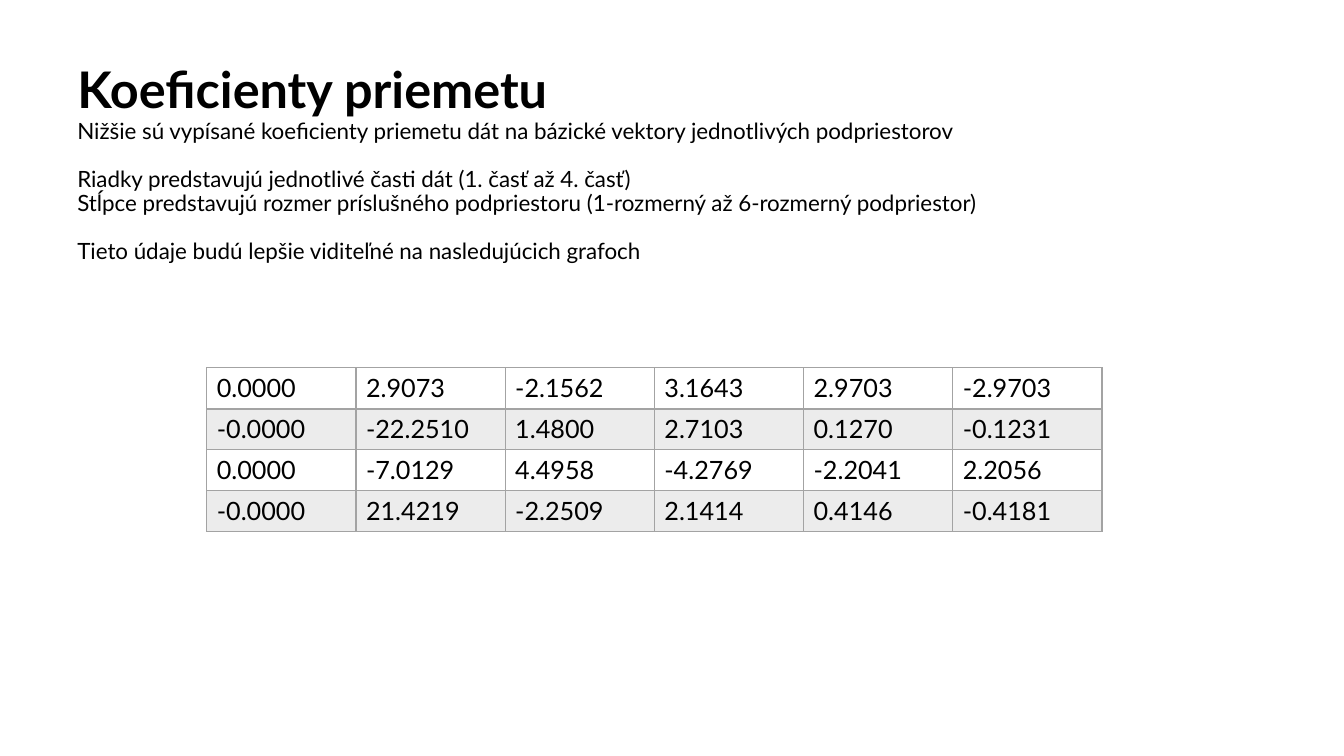
from dataclasses import dataclass

from lxml.etree import SubElement
from pptx import Presentation
from pptx.dml.color import RGBColor
from pptx.enum.text import MSO_ANCHOR
from pptx.oxml import parse_xml
from pptx.oxml.ns import nsdecls, qn
from pptx.slide import Slide
from pptx.table import _Cell
from pptx.util import Cm, Pt


@dataclass(frozen=True)
class Theme:
    font: str = "Lato"
    ink: str = "000000"
    grey: str = "A3A3A3"
    band: int = 20
    head: int = 36
    body: int = 16
    data: int = 18


@dataclass(frozen=True)
class Line:
    text: str
    size: int
    bold: bool = False
    gap: float = 0


THEME = Theme()
GAP = 17.3  # one body line, in points

LINES = [
    Line("Koeficienty priemetu", THEME.head, bold=True),
    Line("Nižšie sú vypísané koeficienty priemetu dát na bázické vektory "
         "jednotlivých podpriestorov", THEME.body),
    Line("Riadky predstavujú jednotlivé časti dát (1. časť až 4. časť)",
         THEME.body, gap=GAP),
    Line("Stĺpce predstavujú rozmer príslušného podpriestoru "
         "(1-rozmerný až 6-rozmerný podpriestor)", THEME.body),
    Line("Tieto údaje budú lepšie viditeľné na nasledujúcich grafoch",
         THEME.body, gap=GAP),
]

ROWS = [
    ["0.0000", "2.9073", "-2.1562", "3.1643", "2.9703", "-2.9703"],
    ["-0.0000", "-22.2510", "1.4800", "2.7103", "0.1270", "-0.1231"],
    ["0.0000", "-7.0129", "4.4958", "-4.2769", "-2.2041", "2.2056"],
    ["-0.0000", "21.4219", "-2.2509", "2.1414", "0.4146", "-0.4181"],
]


def style(para, size: int, bold: bool = False) -> None:
    font = para.runs[0].font
    form = {"name": THEME.font, "size": Pt(size), "bold": bold}
    for key, value in form.items():
        setattr(font, key, value)
    font.color.rgb = RGBColor.from_string(THEME.ink)


def add_text(slide: Slide, lines: list[Line]) -> None:
    box = slide.shapes.add_textbox(Cm(1.7), Cm(1.52), Cm(29.6), Cm(3.15))
    frame = box.text_frame
    for key, value in {"word_wrap": True,
                       "vertical_anchor": MSO_ANCHOR.TOP}.items():
        setattr(frame, key, value)
    for i, line in enumerate(lines):
        para = frame.add_paragraph() if i else frame.paragraphs[0]
        para.add_run().text = line.text
        form = {"line_spacing": 0.9, "space_before": Pt(line.gap)}
        for key, value in form.items():
            setattr(para, key, value)
        style(para, line.size, line.bold)


def set_fill(cell: _Cell, band: bool) -> None:
    if not band:
        cell.fill.background()
        return
    cell.fill.solid()
    cell.fill.fore_color.rgb = RGBColor.from_string(THEME.grey)
    tint = cell._tc.tcPr.find(".//" + qn("a:srgbClr"))
    SubElement(tint, qn("a:alpha"), val=str(THEME.band * 1000))


def set_edges(cell: _Cell, base: int) -> None:
    props = cell._tc.get_or_add_tcPr()
    widths = {"L": 1, "R": 1, "T": 1, "B": base}
    # Edges must stand before the fill
    for i, (side, width) in enumerate(widths.items()):
        props.insert(i, parse_xml(
            f'<a:ln{side} {nsdecls("a")} w="{Pt(width)}"><a:solidFill>'
            f'<a:srgbClr val="{THEME.grey}"/></a:solidFill></a:ln{side}>'))


def add_grid(slide: Slide, rows: list[list[str]]) -> None:
    wide, high = Cm(3.76), Cm(1.03)
    count = len(rows[0])
    table = slide.shapes.add_table(len(rows), count, Cm(5.21), Cm(9.27),
                                   wide * count, high * len(rows)).table
    for key in ("first_row", "horz_banding"):
        setattr(table, key, False)
    for r, row in enumerate(rows):
        for c, text in enumerate(row):
            cell = table.cell(r, c)
            cell.text = text
            style(cell.text_frame.paragraphs[0], THEME.data)
            set_fill(cell, r % 2 == 1)
            set_edges(cell, 1 if r else 2)


def main() -> None:
    deck = Presentation()
    for key, value in {"slide_width": Cm(33.87),
                       "slide_height": Cm(19.05)}.items():
        setattr(deck, key, value)
    slide = deck.slides.add_slide(deck.slide_layouts[6])
    # Heading and notes on the data
    add_text(slide, LINES)
    # Coefficients
    add_grid(slide, ROWS)
    deck.save("out.pptx")


if __name__ == "__main__":
    main()
